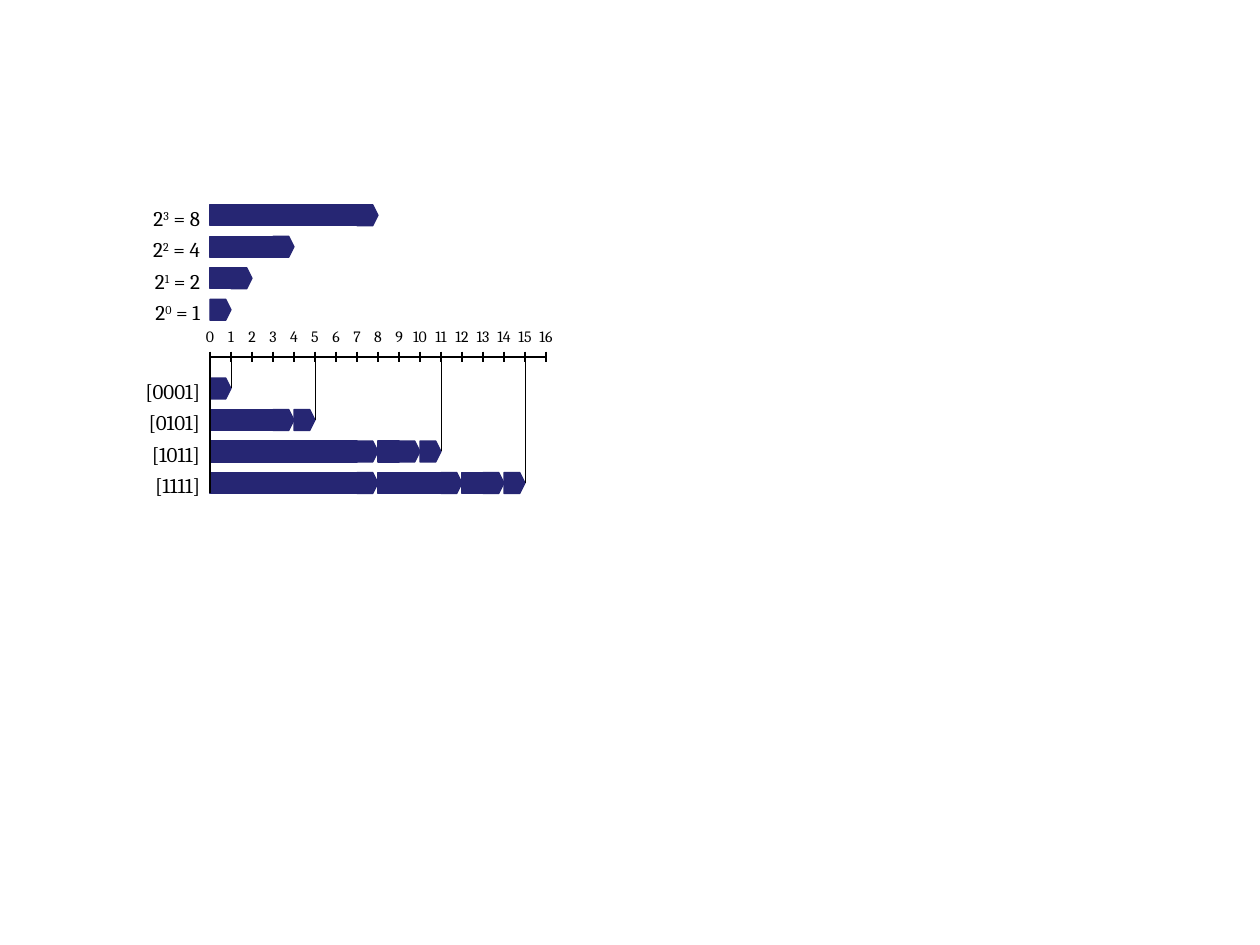
from lxml import etree
from pptx import Presentation
from pptx.dml.color import RGBColor
from pptx.enum.shapes import MSO_CONNECTOR, MSO_SHAPE
from pptx.enum.text import MSO_ANCHOR, MSO_AUTO_SIZE, PP_ALIGN
from pptx.oxml.ns import qn
from pptx.util import Pt

RECT, ARROW, STRAIGHT = MSO_SHAPE.RECTANGLE, MSO_SHAPE.PENTAGON, MSO_CONNECTOR.STRAIGHT
CENTER, RIGHT = PP_ALIGN.CENTER, PP_ALIGN.RIGHT
TOP, MIDDLE = MSO_ANCHOR.TOP, MSO_ANCHOR.MIDDLE
GROW, FIXED = MSO_AUTO_SIZE.SHAPE_TO_FIT_TEXT, MSO_AUTO_SIZE.NONE

NAVY, BLACK = "262673", "000000"
UNIT = 12          # length of the value 1, and height of a bar
PITCH = 18         # distance between rows
MAXIMUM = 16
BITS = (8, 4, 2, 1)


def color(hex_code):
    return RGBColor.from_string(hex_code)


def add_text(shapes, runs, left, top, width, height, size=12, align=RIGHT,
             anchor=TOP, fit=GROW, inset=(7.2, 3.6)):
    """Place one paragraph; runs are (text, is_superscript) pairs."""
    box = shapes.add_textbox(Pt(left), Pt(top), Pt(width), Pt(height))
    frame = box.text_frame
    frame.word_wrap = False
    frame.auto_size = fit
    frame.vertical_anchor = anchor
    frame.margin_left = frame.margin_right = Pt(inset[0])
    frame.margin_top = frame.margin_bottom = Pt(inset[1])
    paragraph = frame.paragraphs[0]
    paragraph.alignment = align
    for text, superscript in runs:
        run = paragraph.add_run()
        run.text = text
        run.font.name = "Cambria"
        run.font.size = Pt(size)
        run.font.color.rgb = color(BLACK)
        if superscript:
            run.font._element.set("baseline", "30000")


def add_line(shapes, x1, y1, x2, y2, weight=0.75):
    line = shapes.add_connector(STRAIGHT, Pt(x1), Pt(y1), Pt(x2), Pt(y2))
    line.line.color.rgb = color(BLACK)
    line.line.width = Pt(weight)
    etree.SubElement(line._element.spPr, qn("a:effectLst"))


def add_piece(shapes, kind, left, top, width):
    piece = shapes.add_shape(kind, Pt(left), Pt(top), Pt(width), Pt(UNIT))
    piece.shadow.inherit = False
    piece.fill.solid()
    piece.fill.fore_color.rgb = color(NAVY)
    piece.line.color.rgb = color(NAVY)
    piece.line.width = Pt(0.75)
    if kind == ARROW:
        piece.adjustments[0] = 0.25


def add_bar(shapes, left, top, value):
    """A bar is an arrow tip of one unit behind a plain body."""
    body = (value - 1) * UNIT
    add_piece(shapes, ARROW, left + body, top, UNIT)
    if body:
        add_piece(shapes, RECT, left, top, body)


def add_powers(shapes, left, top):
    """Bars for the powers of two."""
    for row, value in enumerate(BITS):
        y = top + row * PITCH
        exponent = len(BITS) - 1 - row
        add_bar(shapes, left, y, value)
        add_text(shapes, [("2", False), (str(exponent), True), (f" = {value}", False)],
                 left - 42, y - 3.2, 43.4, 21.8)


def add_axis(shapes, left, top):
    """Number line with ticks and numbers."""
    axis = shapes.add_group_shape().shapes
    for number in range(MAXIMUM + 1):
        x = left + number * UNIT
        add_line(axis, x, top - 3, x, top + 3)
        add_text(axis, [(str(number), False)], x - UNIT / 2, top - 18, UNIT, UNIT,
                 size=9, align=CENTER, anchor=MIDDLE, fit=FIXED, inset=(0, 0))
    add_line(axis, left, top, left + MAXIMUM * UNIT, top)


def add_bit_vectors(shapes, left, top, axis_y, codes):
    """Chained bars for bit vectors, with drop lines to the axis."""
    for row, code in enumerate(codes):
        y = top + row * PITCH
        chain = shapes.add_group_shape().shapes
        total = 0
        for bit, value in zip(code, BITS):
            if bit == "1":
                add_bar(chain, left + total * UNIT, y, value)
                total += value
        end = left + total * UNIT
        add_line(shapes, end, axis_y, end, y + UNIT / 2, weight=0.5)
        add_text(shapes, [(f"[{code}]", False)], left - 45, y - 3.4, 46.5, 21.8)
    add_line(shapes, left, axis_y, left, y + UNIT, weight=1)


deck = Presentation()
deck.slide_width, deck.slide_height = Pt(720), Pt(540)
slide = deck.slides.add_slide(deck.slide_layouts[6])
ORIGIN, AXIS_Y = 120, 204
add_powers(slide.shapes, ORIGIN, AXIS_Y - 87)
add_axis(slide.shapes, ORIGIN, AXIS_Y)
add_bit_vectors(slide.shapes, ORIGIN, AXIS_Y + 12, AXIS_Y,
                ("0001", "0101", "1011", "1111"))
deck.save("out.pptx")
